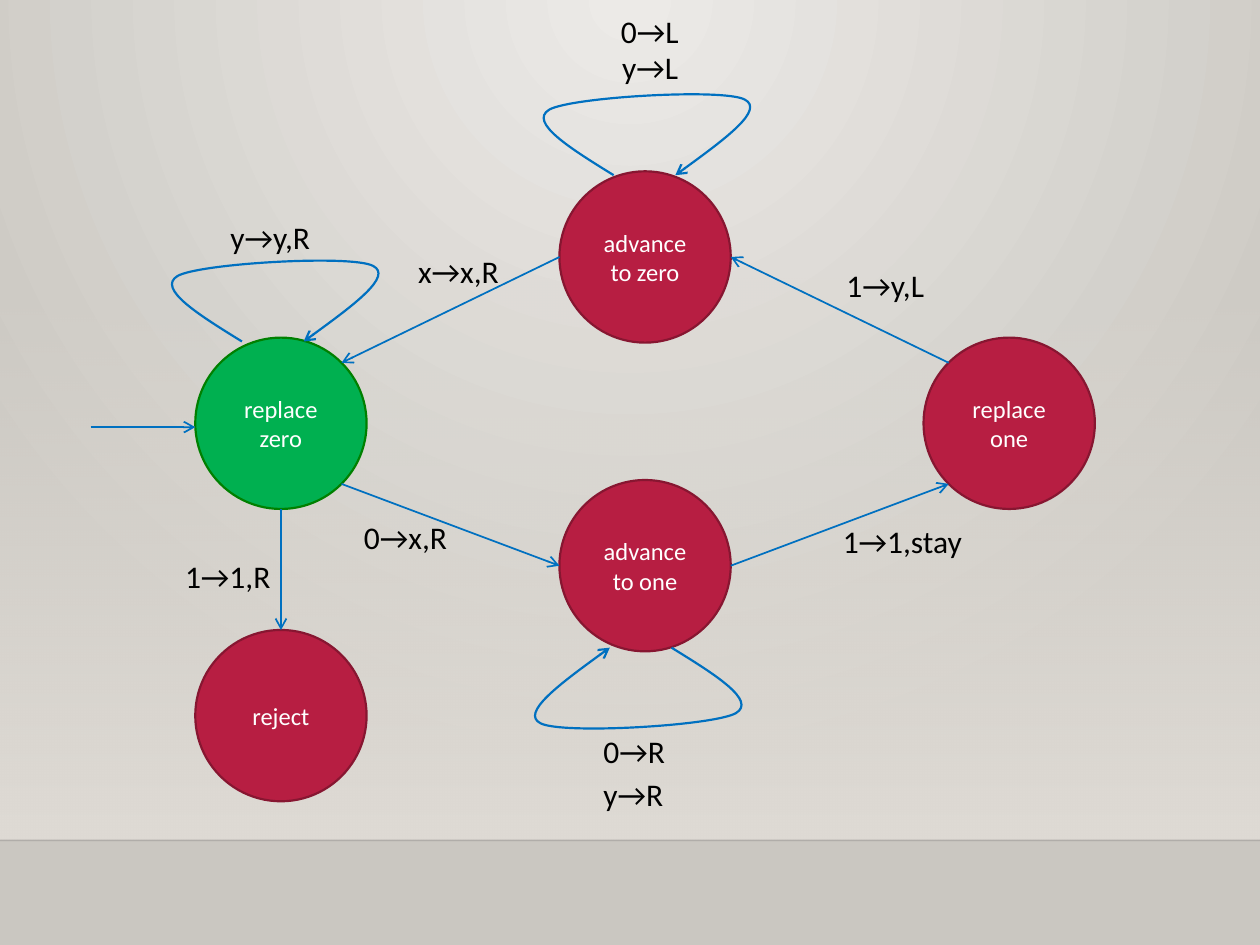
from math import cos, radians, sin

from lxml import etree
from pptx import Presentation
from pptx.dml.color import RGBColor
from pptx.enum.shapes import MSO_CONNECTOR, MSO_SHAPE
from pptx.enum.text import MSO_ANCHOR, MSO_AUTO_SIZE, PP_ALIGN
from pptx.oxml.ns import qn
from pptx.util import Inches, Pt

LINE = MSO_CONNECTOR.STRAIGHT
OVAL, RECT = MSO_SHAPE.OVAL, MSO_SHAPE.RECTANGLE
MIDDLE, CENTER = MSO_ANCHOR.MIDDLE, PP_ALIGN.CENTER
FIT = MSO_AUTO_SIZE.SHAPE_TO_FIT_TEXT

THEME = {
    "font": "Calibri", "state_pt": 14, "label_pt": 18,
    "red": ("B71E42", "871631"), "green": ("00B050", "008000"),
    "arrow": "0070C0", "light": "FFFFFF", "dark": "000000",
    "wall": ("ECEAE7", "CAC7C1"), "glow": "DFDBD5", "edge": "000001",
}
WIDE, HIGH, FLOOR = 10, 7.5, 6.67
SIZE = 1.36

# name: (left, top, colours, lines of text)
STATES = {
    "to one": (4.44, 3.81, "red", ["advance to one"]),
    "to zero": (4.44, 1.36, "red", ["advance to zero"]),
    "zero": (1.55, 2.68, "green", ["replace", "zero"]),
    "one": (7.33, 2.68, "red", ["replace", "one"]),
    "reject": (1.55, 5, "red", ["reject"]),
}
# from state, angle, to state, angle (degrees clockwise from the right)
MOVES = [
    ("zero", 45, "to one", 180),
    ("to one", 0, "one", 135),
    ("one", 225, "to zero", 0),
    ("to zero", 180, "zero", 315),
    ("zero", 90, "reject", 270),
]
ENTRY = (0.72, 3.39), (1.55, 3.39)
# start x, start y, 1 for a loop above its state or -1 for one below
LOOPS = [(4.87, 1.39, 1), (5.33, 5.14, -1), (1.92, 2.71, 1)]
# Bezier points of a loop, measured from its start
BEND = [(-0.34, -0.21), (-0.68, -0.42), (-0.51, -0.52),
        (-0.33, -0.62), (0.87, -0.69), (1.04, -0.6),
        (1.2, -0.52), (0.85, -0.26), (0.49, 0)]
# left, top, width, text
LABELS = [
    (2.79, 4.06, 0.89, "0→x,R"),
    (4.69, 5.76, 0.72, "0→R"),
    (4.83, 0.05, 0.69, "0→L"),
    (4.84, 0.33, 0.67, "y→L"),
    (6.59, 4.09, 1.18, "1→1,stay"),
    (6.62, 2.06, 0.84, "1→y,L"),
    (3.22, 1.95, 0.87, "x→x,R"),
    (4.69, 6.1, 0.7, "y→R"),
    (1.73, 1.68, 0.86, "y→y,R"),
    (1.37, 4.37, 0.91, "1→1,R"),
]


def rgb(code):
    return RGBColor.from_string(code)


def add(parent, tag, **attrs):
    node = etree.SubElement(parent, qn(tag))
    for key, value in attrs.items():
        node.set(key, str(value))
    return node


def blend(fill, root, stops):
    """Give fill a gradient of (place, colour, alpha) and return its element."""
    fill.gradient()
    grad = root.find(".//" + qn("a:gradFill"))
    for node in list(grad):
        grad.remove(node)
    row = add(grad, "a:gsLst")
    for place, code, alpha in stops:
        stop = add(row, "a:gs", pos=place * 1000)
        tint = add(stop, "a:srgbClr", val=code)
        if alpha < 100:
            add(tint, "a:alpha", val=alpha * 1000)
    return grad


def draw_room(slide):
    near, far = THEME["wall"]
    grad = blend(slide.background.fill, slide.element,
                 [(0, near, 100), (100, far, 100)])
    ring = add(grad, "a:path", path="circle")
    add(ring, "a:fillToRect", l=43000, t=0, r=43000, b=100000)

    glow = slide.shapes.add_shape(RECT, 0, Inches(2.2), Inches(WIDE),
                                  Inches(FLOOR - 2.2))
    glow.shadow.inherit = False
    glow.line.fill.background()
    grad = blend(glow.fill, glow.element,
                 [(0, THEME["glow"], 0), (100, THEME["glow"], 100)])
    add(grad, "a:lin", ang=90 * 60000, scaled=0)

    edge = draw_line(slide, (0, FLOOR), (WIDE, FLOOR), THEME["edge"])
    tint = edge.line._ln.find(".//" + qn("a:srgbClr"))
    add(tint, "a:alpha", val=20000)


def draw_line(slide, start, end, code):
    ends = [Inches(v) for v in (*start, *end)]
    line = slide.shapes.add_connector(LINE, *ends)
    line.line.color.rgb = rgb(code)
    line.line.width = Pt(1)
    add(line.element.spPr, "a:effectLst")
    return line


def draw_arrow(slide, start, end):
    line = draw_line(slide, start, end, THEME["arrow"])
    add(line.line._ln, "a:tailEnd", type="arrow")


def rim(name, angle):
    left, top = STATES[name][:2]
    half, turn = SIZE / 2, radians(angle)
    return left + half + half * cos(turn), top + half + half * sin(turn)


def draw_loop(slide, x, y, sign):
    pen = slide.shapes.build_freeform(Inches(x), Inches(y))
    pen.add_line_segments([(Inches(x + sign * dx), Inches(y + sign * dy))
                           for dx, dy in BEND], close=False)
    loop = pen.convert_to_shape()
    # Turn each three straight steps into one Bezier curve
    trail = loop.element.find(".//" + qn("a:path"))
    steps = trail.findall(qn("a:lnTo"))
    for i in range(0, len(steps), 3):
        curve = add(trail, "a:cubicBezTo")
        for step in steps[i:i + 3]:
            curve.append(step[0])
            trail.remove(step)
    loop.shadow.inherit = False
    loop.fill.background()
    loop.line.color.rgb = rgb(THEME["arrow"])
    loop.line.width = Pt(1.25)
    add(loop.line._ln, "a:tailEnd", type="arrow")


def style(par, size, code):
    par.font.name = THEME["font"]
    par.font.size = Pt(size)
    par.font.color.rgb = rgb(code)


def draw_state(slide, left, top, tone, lines):
    disc = slide.shapes.add_shape(OVAL, Inches(left), Inches(top),
                                  Inches(SIZE), Inches(SIZE))
    disc.shadow.inherit = False
    fill, line = THEME[tone]
    disc.fill.solid()
    disc.fill.fore_color.rgb = rgb(fill)
    disc.line.color.rgb = rgb(line)
    disc.line.width = Pt(1.25)
    frame = disc.text_frame
    frame.vertical_anchor = MIDDLE
    frame.text = "\n".join(lines)
    for par in frame.paragraphs:
        par.alignment = CENTER
        style(par, THEME["state_pt"], THEME["light"])


def draw_label(slide, left, top, width, text):
    box = slide.shapes.add_textbox(Inches(left), Inches(top),
                                   Inches(width), Inches(0.4))
    frame = box.text_frame
    frame.word_wrap = False
    frame.auto_size = FIT
    frame.text = text
    style(frame.paragraphs[0], THEME["label_pt"], THEME["dark"])


def main():
    deck = Presentation()
    deck.slide_width, deck.slide_height = Inches(WIDE), Inches(HIGH)
    slide = deck.slides.add_slide(deck.slide_layouts[6])
    draw_room(slide)
    for state in STATES.values():
        draw_state(slide, *state)
    draw_arrow(slide, *ENTRY)
    for source, out, target, into in MOVES:
        draw_arrow(slide, rim(source, out), rim(target, into))
    for loop in LOOPS:
        draw_loop(slide, *loop)
    for label in LABELS:
        draw_label(slide, *label)
    deck.save("out.pptx")


if __name__ == "__main__":
    main()
